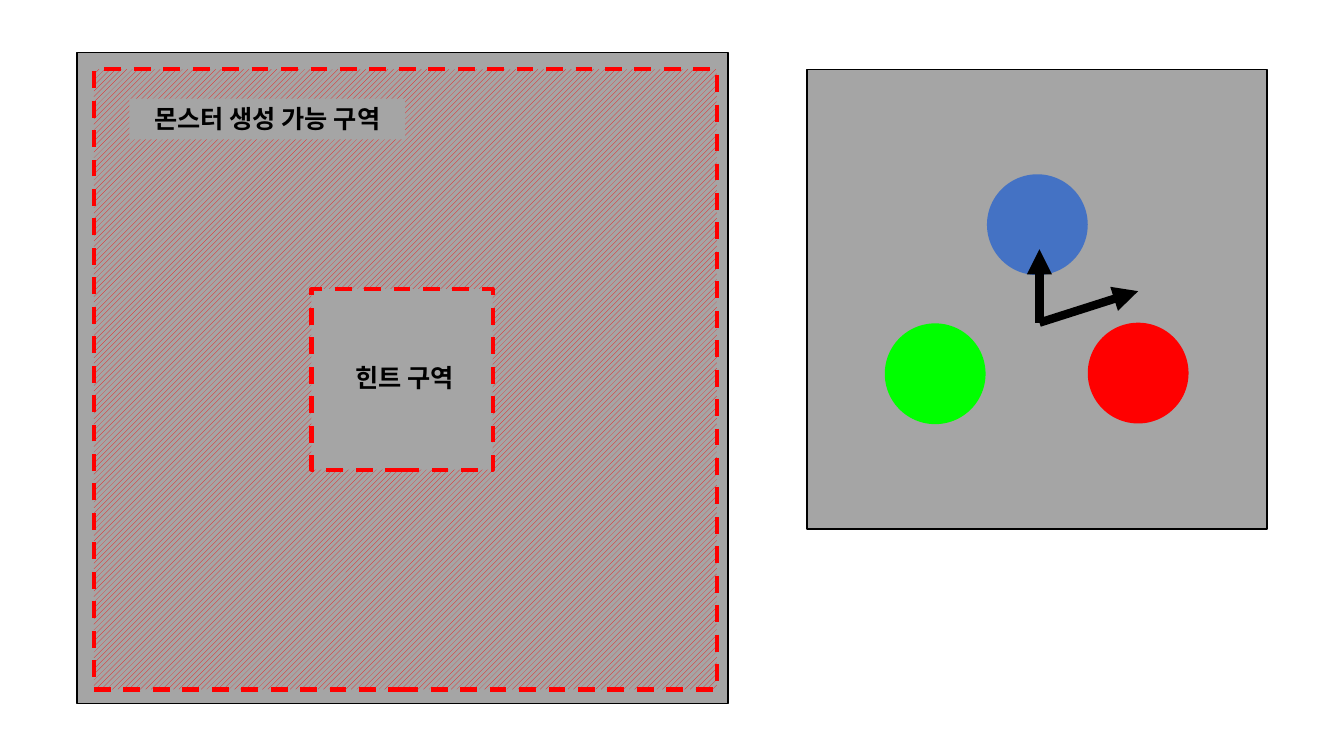
from lxml.etree import SubElement
from pptx import Presentation
from pptx.dml.color import RGBColor
from pptx.enum.dml import MSO_LINE, MSO_PATTERN
from pptx.enum.shapes import MSO_CONNECTOR, MSO_SHAPE
from pptx.enum.text import MSO_AUTO_SIZE, PP_ALIGN
from pptx.oxml.ns import qn
from pptx.util import Pt

BLACK = RGBColor(0x00, 0x00, 0x00)
GRAY = RGBColor(0xA5, 0xA5, 0xA5)
RED = RGBColor(0xFF, 0x00, 0x00)
GREEN = RGBColor(0x00, 0xFF, 0x00)
BLUE = RGBColor(0x44, 0x72, 0xC4)
FONT = "Noto Sans CJK KR"


def add_filled(shapes, kind, box, fill, line=None, width=1, dash=None):
    """Add a preset shape with a solid fill and an optional outline."""
    sp = shapes.add_shape(kind, *[Pt(v) for v in box])
    sp.shadow.inherit = False
    sp.fill.solid()
    sp.fill.fore_color.rgb = fill
    if line is None:
        sp.line.fill.background()
    else:
        sp.line.color.rgb = line
        sp.line.width = Pt(width)
        sp.line.dash_style = dash
    return sp


prs = Presentation()
prs.slide_width, prs.slide_height = Pt(960), Pt(540)
s = prs.slides.add_slide(prs.slide_layouts[6])

# Map with its spawn zone and the hint zone inside it
add_filled(s.shapes, MSO_SHAPE.RECTANGLE, (55, 37.5, 465, 465), GRAY, BLACK)
spawn_zone = add_filled(s.shapes, MSO_SHAPE.RECTANGLE, (67, 49.5, 445, 443),
                        GRAY, RED, 3, MSO_LINE.DASH)
spawn_zone.fill.patterned()
spawn_zone.fill.pattern = MSO_PATTERN.WIDE_UPWARD_DIAGONAL
spawn_zone.fill.fore_color.rgb = RED
spawn_zone.fill.back_color.rgb = GRAY
add_filled(s.shapes, MSO_SHAPE.RECTANGLE, (222.5, 206.5, 129.5, 129),
           GRAY, RED, 3, MSO_LINE.DASH)

# Zone labels
for text, box in [("몬스터 생성 가능 구역", (92.5, 70.5, 197, 29)),
                  ("힌트 구역", (242.5, 255.5, 93.5, 29))]:
    label = s.shapes.add_textbox(*[Pt(v) for v in box])
    label.fill.solid()
    label.fill.fore_color.rgb = GRAY
    tf = label.text_frame
    tf.word_wrap = False
    tf.auto_size = MSO_AUTO_SIZE.SHAPE_TO_FIT_TEXT
    p = tf.paragraphs[0]
    p.alignment = PP_ALIGN.CENTER
    r = p.add_run()
    r.text = text
    r.font.size = Pt(18)
    r.font.bold = True
    r.font.name = FONT
    r.font.color.rgb = BLACK
    SubElement(r.font._element, qn("a:ea"), typeface=FONT)

# Hint zone close-up with three grouped circles
add_filled(s.shapes, MSO_SHAPE.RECTANGLE, (576.5, 49.5, 328.5, 328.5), GRAY, BLACK)
circles = s.shapes.add_group_shape()
for left, top, color in [(705, 124.5, BLUE), (777, 230.5, RED), (632, 231, GREEN)]:
    add_filled(circles.shapes, MSO_SHAPE.OVAL, (left, top, 72, 72), color)

# Direction arrows from the centre
center = (742.5, 230.5)
for tip in [(742.5, 178), (813, 208)]:
    arrow = s.shapes.add_connector(MSO_CONNECTOR.STRAIGHT,
                                   *[Pt(v) for v in center + tip])
    arrow.line.color.rgb = BLACK
    arrow.line.width = Pt(6)
    SubElement(arrow.line._get_or_add_ln(), qn("a:tailEnd"), type="triangle")
    SubElement(arrow._element.spPr, qn("a:effectLst"))

prs.save("out.pptx")
